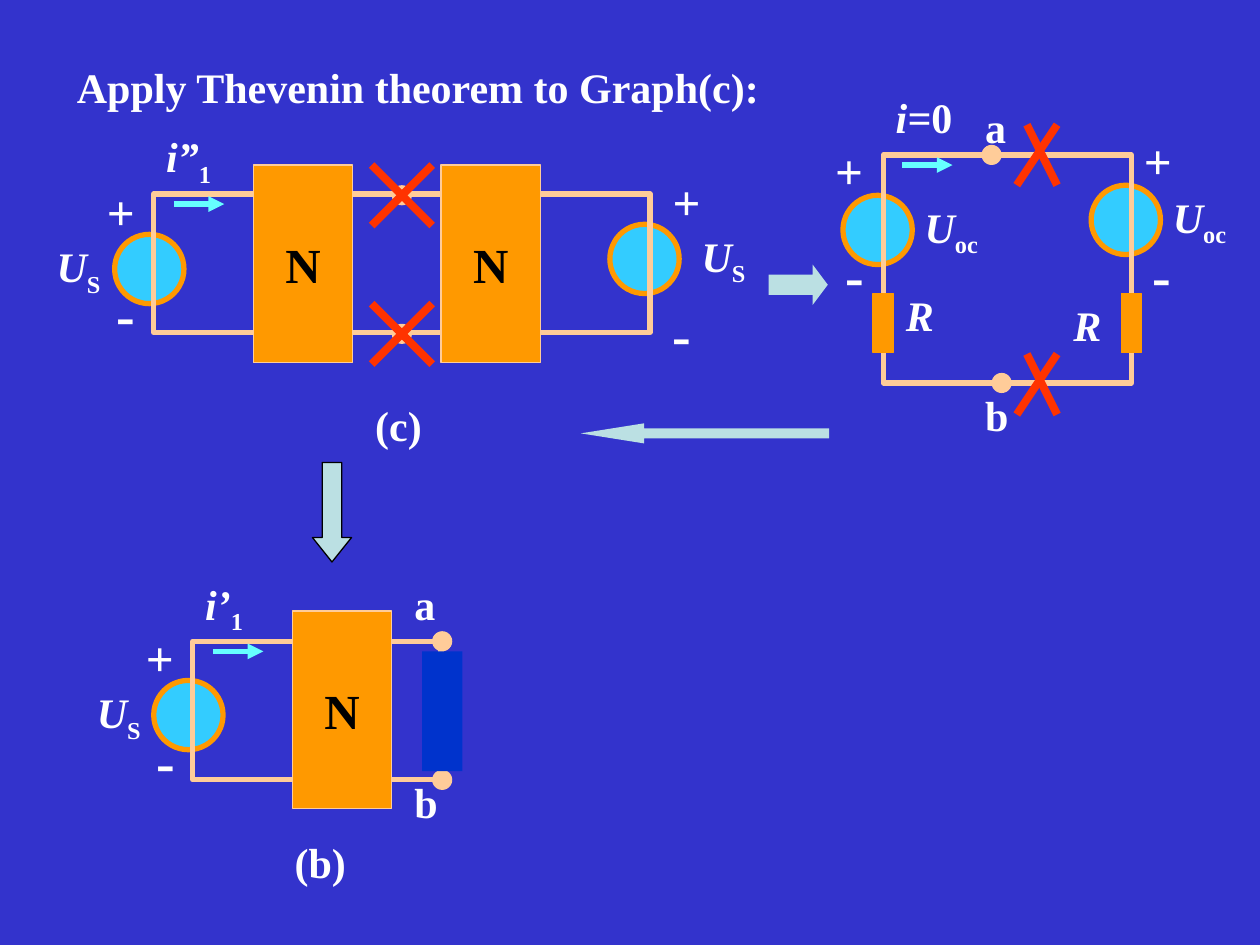
"""Build the slide that applies the Thevenin theorem to graph (c)."""
from lxml.etree import SubElement
from pptx import Presentation
from pptx.dml.color import RGBColor
from pptx.enum.shapes import MSO_CONNECTOR, MSO_SHAPE
from pptx.enum.text import MSO_ANCHOR, PP_ALIGN
from pptx.oxml.ns import qn
from pptx.util import Inches, Pt

FONT = "Times New Roman"
BLUE = RGBColor(0x33, 0x33, 0xCC)
WHITE = RGBColor(0xFF, 0xFF, 0xFF)
BLACK = RGBColor(0, 0, 0)
SKY = RGBColor(0x33, 0xCC, 0xFF)
ORANGE = RGBColor(0xFF, 0x99, 0x00)
PEACH = RGBColor(0xFF, 0xCC, 0x99)
CYAN = RGBColor(0x66, 0xFF, 0xFF)
RED = RGBColor(0xFF, 0x33, 0x00)
PALE = RGBColor(0xBB, 0xE0, 0xE3)
NAVY = RGBColor(0x00, 0x33, 0xCC)

TITLE = "Apply Thevenin theorem to Graph(c):"
BALL, DOT = 0.55, 0.16
BLOCK = (0.79, 1.57)
SIGNS = {"+": (28, 0.57), "-": (32, 0.63)}

SOURCE = {
    "balls": [(8.66, 1.47), (6.69, 1.55)],
    "wire": (7.01, 1.23, 1.97, 1.81),
    "blocks": [],
    "flow": (7.16, 1.31),
    "symbols": [(7.24, 1.55, "U", "oc", True), (7.01, 0.68, "i=", "0", False),
                (9.21, 1.47, "U", "oc", True), (8.42, 2.33, "R", "", False),
                (7.09, 2.25, "R", "", False)],
    "labels": [(7.72, 3.04, "b"), (7.72, 0.76, "a"), (6.53, 1.07, "+"),
               (6.61, 1.86, "-"), (8.98, 0.99, "+"), (9.05, 1.86, "-")],
    "dots": [(7.79, 1.15), (7.87, 2.96)],
    "bars": [(8.9, 2.33, 0.16, 0.47, ORANGE, ORANGE), (6.93, 2.33, 0.16, 0.47, ORANGE, ORANGE)],
    "cuts": [(8.07, 0.99, 0.32, 0.08), (8.07, 2.81, 0.32, 0.08)],
}
GRAPH_C = {
    "balls": [(4.84, 1.78), (0.91, 1.86)],
    "wire": (1.22, 1.54, 3.94, 1.1),
    "blocks": [(2.01, 1.31), (3.5, 1.31)],
    "flow": (1.38, 1.62),
    "symbols": [(0.35, 1.86, "U", "S", True), (1.22, 0.99, "i”", "1", True),
                (5.47, 1.78, "U", "S", True)],
    "labels": [(0.75, 1.39, "+"), (0.83, 2.17, "-"), (2.88, 3.12, "(c)"),
               (5.24, 1.31, "+"), (5.24, 2.33, "-")],
    "dots": [(3.11, 2.57), (3.11, 1.47)],
    "bars": [],
    "cuts": [(2.95, 1.31, 0.48, 0), (2.95, 2.41, 0.48, 0)],
}
GRAPH_B = {
    "balls": [(1.22, 5.4)],
    "wire": (1.53, 5.09, 1.97, 1.1),
    "blocks": [(2.32, 4.85)],
    "flow": (1.69, 5.17),
    "symbols": [(0.67, 5.4, "U", "S", True), (1.53, 4.54, "i’", "1", True)],
    "labels": [(3.19, 6.11, "b"), (3.19, 4.54, "a"), (1.06, 4.93, "+"),
               (1.14, 5.72, "-"), (2.24, 6.59, "(b)")],
    "dots": [(3.43, 6.11), (3.43, 5.01)],
    "bars": [(3.35, 5.17, 0.32, 0.95, NAVY, None)],
    "cuts": [],
}
STEPS = [
    (MSO_SHAPE.RIGHT_ARROW, (6.1, 2.1, 0.47, 0.32), 0.375, None),
    (MSO_SHAPE.LEFT_ARROW, (4.61, 3.36, 1.97, 0.16), 3.148, None),
    (MSO_SHAPE.DOWN_ARROW, (2.48, 3.67, 0.31, 0.79), 0.625, BLACK),
]


def style(font, size, color=WHITE, italic=False):
    font.name, font.size, font.bold, font.italic = FONT, Pt(size), True, italic
    font.color.rgb = color


def shape(slide, kind, box, fill, line=None, width=0.75):
    item = slide.shapes.add_shape(kind, *map(Inches, box))
    item.shadow.inherit = False
    if fill is None:
        item.fill.background()
    else:
        item.fill.solid()
        item.fill.fore_color.rgb = fill
    if line is None:
        item.line.fill.background()
    else:
        item.line.color.rgb = line
        item.line.width = Pt(width)
    return item


def stroke(slide, start, end, color, width, head=False):
    item = slide.shapes.add_connector(MSO_CONNECTOR.STRAIGHT, *map(Inches, start + end))
    item.line.color.rgb = color
    item.line.width = Pt(width)
    props = item.line._get_or_add_ln()
    if head:
        SubElement(props, qn("a:tailEnd"), type="triangle")
    SubElement(props.getparent(), qn("a:effectLst"))


def write(slide, box, parts, size, italic=False, sub=False):
    frame = slide.shapes.add_textbox(*map(Inches, box)).text_frame
    frame.word_wrap = True
    for i, part in enumerate(parts):
        run = frame.paragraphs[0].add_run()
        run.text = part
        style(run.font, size, italic=italic and i == 0)
        if sub and i:
            run.font._element.set("baseline", "-25000")


def block(slide, x, y):
    item = shape(slide, MSO_SHAPE.RECTANGLE, (x, y, *BLOCK), ORANGE, PEACH)
    frame = item.text_frame
    frame.text = "N"
    frame.word_wrap = False
    frame.vertical_anchor = MSO_ANCHOR.MIDDLE
    frame.paragraphs[0].alignment = PP_ALIGN.CENTER
    style(frame.paragraphs[0].runs[0].font, 28, BLACK)


def cross(slide, x, y, wide, lean):
    right, low = x + wide, y + 0.48
    stroke(slide, (x, low), (right, y), RED, 4.5)
    stroke(slide, (x + lean, y), (right, low), RED, 4.5)


def draw(slide, graph):
    for x, y in graph["balls"]:
        shape(slide, MSO_SHAPE.OVAL, (x, y, BALL, BALL), SKY, ORANGE, 3)
    shape(slide, MSO_SHAPE.RECTANGLE, graph["wire"], None, PEACH, 3)
    for spot in graph["blocks"]:
        block(slide, *spot)
    x, y = graph["flow"]
    stroke(slide, (x, y), (x + 0.4, y), CYAN, 3, head=True)
    for x, y, name, tail, sub in graph["symbols"]:
        parts = [name, tail] if tail else [name]
        write(slide, (x, y, 0.79, 0.5), parts, 24, True, sub)
    for x, y, text in graph["labels"]:
        size, high = SIGNS.get(text, (24, 0.5))
        wide = 0.63 if len(text) > 1 else 0.55
        write(slide, (x, y, wide, high), [text], size)
    for x, y in graph["dots"]:
        shape(slide, MSO_SHAPE.OVAL, (x, y, DOT, DOT), PEACH)
    for *box, fill, line in graph["bars"]:
        shape(slide, MSO_SHAPE.RECTANGLE, box, fill, line)
    for cut in graph["cuts"]:
        cross(slide, *cut)


def main():
    deck = Presentation()
    deck.slide_width, deck.slide_height = Inches(10), Inches(7.5)
    slide = deck.slides.add_slide(deck.slide_layouts[5])
    slide.background.fill.solid()
    slide.background.fill.fore_color.rgb = BLUE
    title = slide.shapes.title
    title.left, title.top, title.width, title.height = map(Inches, (0.51, 0.44, 8.54, 0.5))
    frame = title.text_frame
    frame.text = TITLE
    frame.vertical_anchor = MSO_ANCHOR.TOP
    frame.paragraphs[0].alignment = PP_ALIGN.LEFT
    style(frame.paragraphs[0].runs[0].font, 24)
    for graph in (SOURCE, GRAPH_C, GRAPH_B):
        draw(slide, graph)
    for kind, box, head, line in STEPS:
        arrow = shape(slide, kind, box, PALE, line)
        arrow.adjustments[0], arrow.adjustments[1] = 0.5, head
    deck.save("out.pptx")


if __name__ == "__main__":
    main()
